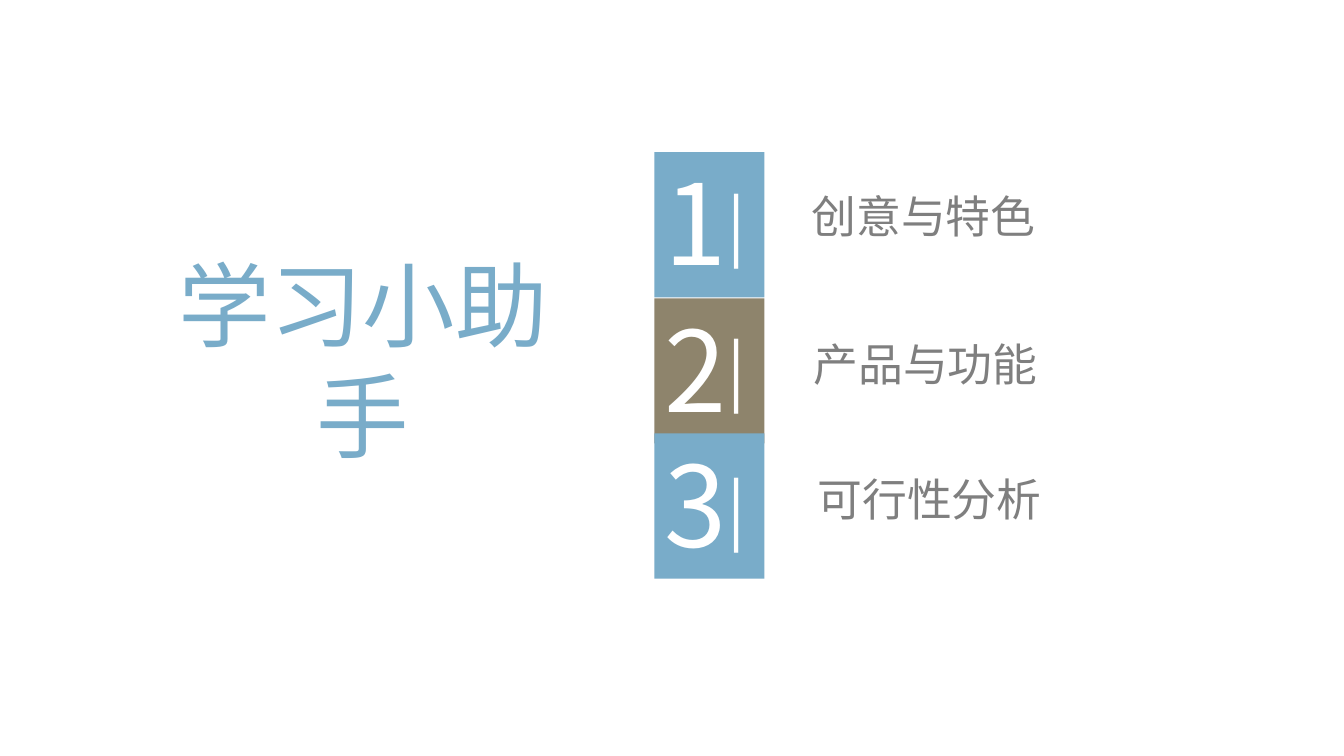
from dataclasses import dataclass

from lxml.etree import SubElement
from pptx import Presentation
from pptx.dml.color import RGBColor
from pptx.enum.shapes import MSO_SHAPE as Shape
from pptx.enum.text import MSO_ANCHOR as Anchor, PP_ALIGN as Align
from pptx.oxml.ns import qn
from pptx.util import Inches, Pt


@dataclass(frozen=True)
class Theme:
    font: str = "Noto Sans CJK SC"
    blue: RGBColor = RGBColor(0x79, 0xAC, 0xC9)
    brown: RGBColor = RGBColor(0x8E, 0x84, 0x6C)
    grey: RGBColor = RGBColor(0x7F, 0x7F, 0x7F)
    white: RGBColor = RGBColor(0xFF, 0xFF, 0xFF)
    title_size: int = 66
    number_size: int = 80
    bar_size: int = 48
    label_size: int = 32


THEME = Theme()


def write(shape, text, size, color, align=Align.LEFT, anchor=Anchor.TOP, wrap=True):
    frame = shape.text_frame
    frame.word_wrap = wrap
    frame.vertical_anchor = anchor
    frame.text = text
    para = frame.paragraphs[0]
    para.alignment = align
    para.font.name = THEME.font
    para.font.size = Pt(size)
    para.font.color.rgb = color
    defaults = para._p.pPr.find(qn("a:defRPr"))
    SubElement(defaults, qn("a:ea"), typeface=THEME.font)
    return para


def place_title(page, text):
    title = page.shapes.title
    title.left, title.top = Inches(1.21), Inches(2.96)
    title.width, title.height = Inches(4.78), Inches(1.2)
    write(title, text, THEME.title_size, THEME.blue, Align.CENTER, Anchor.MIDDLE, wrap=False)


def add_tile(page, number, top, color):
    tile = page.shapes.add_shape(
        Shape.RECTANGLE, Inches(6.49), Inches(top), Inches(1.09), Inches(1.44))
    tile.shadow.inherit = False
    tile.fill.solid()
    tile.fill.fore_color.rgb = color
    tile.line.fill.background()
    tile.text_frame.margin_bottom = Inches(0.12)
    write(tile, str(number), THEME.number_size, THEME.white, anchor=Anchor.MIDDLE)


def add_bar(page, top):
    box = page.shapes.add_textbox(Inches(7.12), Inches(top), Inches(0.5), Inches(0.9))
    write(box, "|", THEME.bar_size, THEME.white)


def add_label(page, text, left, top):
    box = page.shapes.add_textbox(Inches(left), Inches(top), Inches(4.2), Inches(0.42))
    para = write(box, text, THEME.label_size, THEME.grey)
    para.line_spacing = Pt(23)


def main():
    deck = Presentation()
    deck.slide_width, deck.slide_height = Inches(13.33), Inches(7.5)
    page = deck.slides.add_slide(deck.slide_layouts[5])
    place_title(page, "学习小助手")
    sections = [
        ("创意与特色", THEME.blue, 1.51, 1.77, 7.95, 2.04),
        ("产品与功能", THEME.brown, 2.96, 3.21, 7.97, 3.51),
        ("可行性分析", THEME.blue, 4.3, 4.59, 8.01, 4.84),
    ]
    for number, section in enumerate(sections, start=1):
        label, color, tile_top, bar_top, label_left, label_top = section
        add_tile(page, number, tile_top, color)
        add_bar(page, bar_top)
        add_label(page, label, label_left, label_top)
    deck.save("out.pptx")


if __name__ == "__main__":
    main()
